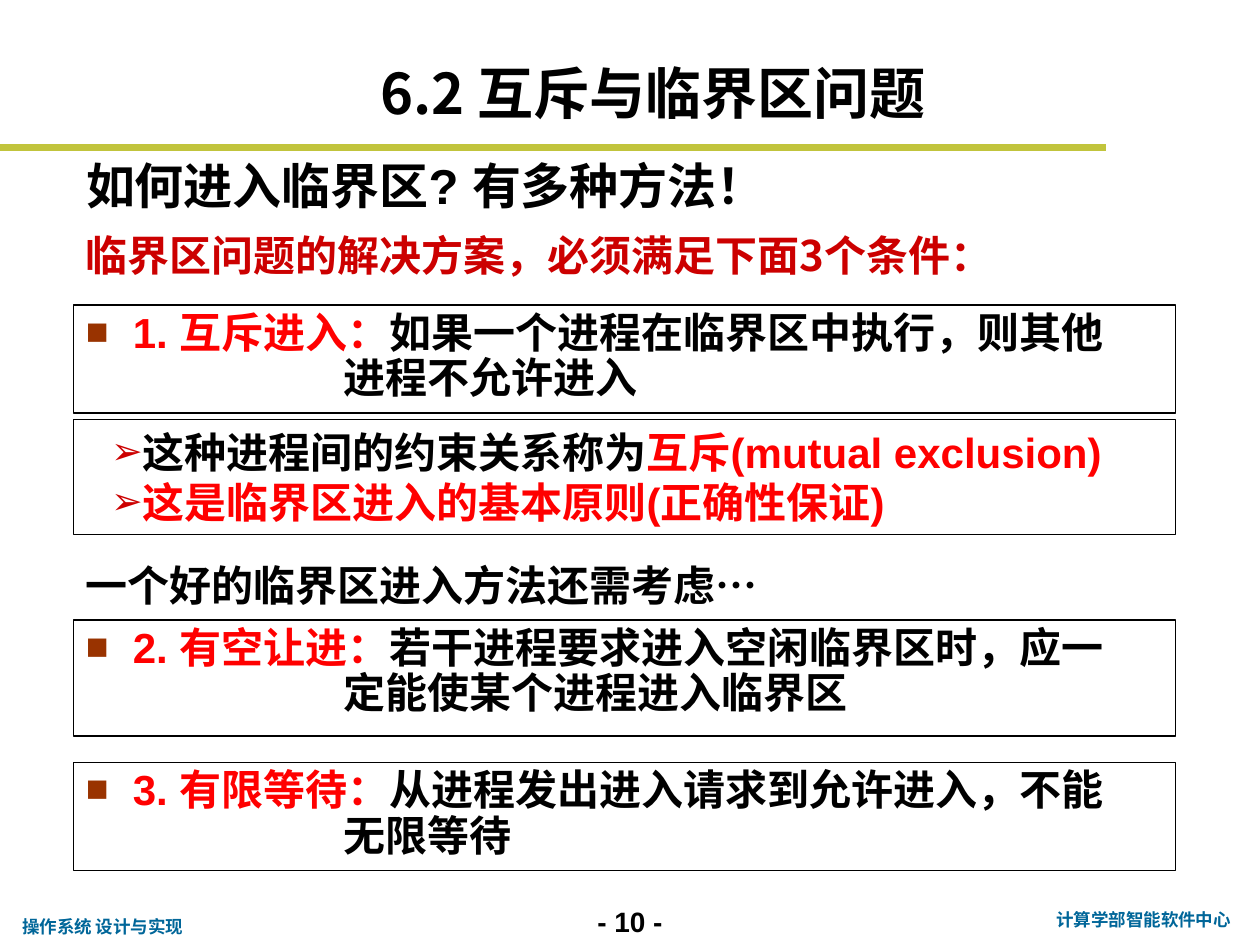
from dataclasses import dataclass
from typing import Optional

from lxml import etree
from pptx import Presentation
from pptx import util as u
from pptx.dml.color import RGBColor
from pptx.enum import shapes, text
from pptx.oxml.ns import qn

BLACK = RGBColor(0x00, 0x00, 0x00)
RED = RGBColor(0xFF, 0x00, 0x00)
DARK_RED = RGBColor(0xCC, 0x00, 0x00)
BROWN = RGBColor(0x99, 0x33, 0x00)
BLUE = RGBColor(0x00, 0x66, 0x99)
OLIVE = RGBColor(0xC1, 0xC4, 0x3C)
LATIN, CJK = "Arial", "Noto Sans CJK SC"
LEFT, WIDTH = 1.48, 22.22  # shared column, cm
TOP, MIDDLE, BOTTOM = (text.MSO_ANCHOR.TOP, text.MSO_ANCHOR.MIDDLE,
                       text.MSO_ANCHOR.BOTTOM)


@dataclass
class Bullet:
    char: str
    color: RGBColor
    margin: float  # cm
    hang: float  # cm


@dataclass
class Condition:
    top: float  # cm
    height: float  # cm
    label: str
    first: str
    rest: str


SQUARE = Bullet("■", BROWN, 0.95, 0.95)
ARROW = Bullet("➢", DARK_RED, 1.02, 0.51)
CONDITIONS = [
    Condition(6.15, 2.18, "1. 互斥进入：", "如果一个进程在临界区中执行，则其他", "进程不允许进入"),
    Condition(12.5, 2.34, "2. 有空让进：", "若干进程要求进入空闲临界区时，应一", "定能使某个进程进入临界区"),
    Condition(15.37, 2.18, "3. 有限等待：", "从进程发出进入请求到允许进入，不能", "无限等待"),
]


def add_run(p, words: str, size: float, color: RGBColor, font: str = LATIN) -> None:
    r = p.add_run()
    r.text = words
    r.font.size, r.font.bold, r.font.name = u.Pt(size), True, font
    r.font.color.rgb = color
    ea = etree.SubElement(r.font._element, qn("a:ea"))
    ea.set("typeface", CJK)


def indent(p, margin: float, hang: float = 0) -> None:
    pPr = p._p.get_or_add_pPr()
    pPr.set("marL", str(u.Cm(margin)))
    pPr.set("indent", str(-u.Cm(hang)))


def add_bullet(p, bullet: Bullet) -> None:
    indent(p, bullet.margin, bullet.hang)
    pPr = p._p.get_or_add_pPr()
    color = etree.SubElement(pPr, qn("a:buClr"))
    etree.SubElement(color, qn("a:srgbClr")).set("val", str(bullet.color))
    etree.SubElement(pPr, qn("a:buSzPct")).set("val", "90000")
    etree.SubElement(pPr, qn("a:buFont")).set("typeface", LATIN)
    etree.SubElement(pPr, qn("a:buChar")).set("char", bullet.char)


def add_text(slide, at: tuple, anchor=TOP, wrap: bool = True):
    tf = slide.shapes.add_textbox(*map(u.Cm, at)).text_frame
    tf.word_wrap, tf.vertical_anchor = wrap, anchor
    return tf


def add_frame(slide, top: float, height: float, anchor=TOP):
    sp = slide.shapes.add_shape(shapes.MSO_SHAPE.RECTANGLE, u.Cm(LEFT), u.Cm(top),
                                u.Cm(WIDTH), u.Cm(height))
    sp.shadow.inherit = False
    sp.fill.background()
    sp.line.color.rgb, sp.line.width = BLACK, u.Pt(0.75)
    tf = sp.text_frame
    tf.word_wrap, tf.vertical_anchor = True, anchor
    return tf


def add_paragraph(tf, first: bool, spacing: Optional[float] = None):
    p = tf.paragraphs[0] if first else tf.add_paragraph()
    p.alignment = text.PP_ALIGN.LEFT
    if spacing:
        p.line_spacing = u.Pt(spacing)
    return p


def add_condition(slide, item: Condition) -> None:
    tf = add_frame(slide, item.top, item.height)
    p = add_paragraph(tf, True, 26)
    add_bullet(p, SQUARE)
    add_run(p, item.label, 24, RED)
    add_run(p, item.first, 24, BLACK)
    p = add_paragraph(tf, False, 26)
    indent(p, 5.2)
    add_run(p, item.rest, 24, BLACK)


def add_footer(slide, at: tuple, words: str, size: float, color: RGBColor,
               spacing: Optional[float] = None, centred: bool = True) -> None:
    p = add_paragraph(add_text(slide, at, wrap=centred), True, spacing)
    if centred:
        p.alignment = text.PP_ALIGN.CENTER
    add_run(p, words, size, color)


def main() -> None:
    prs = Presentation()
    prs.slide_width, prs.slide_height = u.Cm(25.4), u.Cm(19.05)
    slide = prs.slides.add_slide(prs.slide_layouts[5])

    # Footer and rule
    add_footer(slide, (11.43, 18.11, 2.54, 0.94), "- 10 -", 16, BLACK)
    add_footer(slide, (20.96, 18.21, 4.19, 0.69), "计算学部智能软件中心", 10, BLUE, 12)
    add_footer(slide, (0.2, 18.34, 3.81, 0.69), "操作系统 设计与实现", 10, BLUE, 12, False)
    rule = slide.shapes.add_connector(shapes.MSO_CONNECTOR.STRAIGHT, u.Cm(0),
                                      u.Cm(2.97), u.Cm(22.3), u.Cm(2.97))
    rule.line.color.rgb, rule.line.width = OLIVE, u.Pt(4)
    etree.SubElement(rule._element.spPr, qn("a:effectLst"))

    # Title placeholder and headings
    sp = slide.shapes.title
    sp.left, sp.top, sp.width, sp.height = map(u.Cm, (LEFT, 3, 21.8, 1.45))
    tf = sp.text_frame
    tf.auto_size, tf.vertical_anchor = text.MSO_AUTO_SIZE.NONE, MIDDLE
    add_run(add_paragraph(tf, True), "如何进入临界区? 有多种方法！", 28, BLACK)

    tf = add_text(slide, (7.42, 1.07, 13.97, 1.6), BOTTOM)
    add_run(add_paragraph(tf, True), "6.2 互斥与临界区问题", 32, BLACK, CJK)

    tf = add_text(slide, (LEFT, 4.45, WIDTH, 1.27), MIDDLE)
    p = add_paragraph(tf, True)
    p.line_spacing = 1.1
    add_run(p, "临界区问题的解决方案，必须满足下面3个条件：", 24, DARK_RED, CJK)

    # Conditions
    for item in CONDITIONS:
        add_condition(slide, item)

    # Remarks on the first condition
    tf = add_frame(slide, 8.46, 2.31, MIDDLE)
    remarks = [[("这种进程间的约束关系称为", BLACK), ("互斥(mutual exclusion)", RED)],
               [("这是临界区进入的基本原则(正确性保证)", RED)]]
    for i, runs in enumerate(remarks):
        p = add_paragraph(tf, i == 0, 28.5)
        add_bullet(p, ARROW)
        for words, color in runs:
            add_run(p, words, 24, color)

    # Lead-in to the other conditions
    p = add_paragraph(add_text(slide, (LEFT, 10.8, 18.85, 1.27)), True, 39)
    add_run(p, "一个好的临界区进入方法还需考虑", 24, BLACK)
    add_run(p, "…", 24, BLACK, CJK)

    prs.save("out.pptx")


if __name__ == "__main__":
    main()
